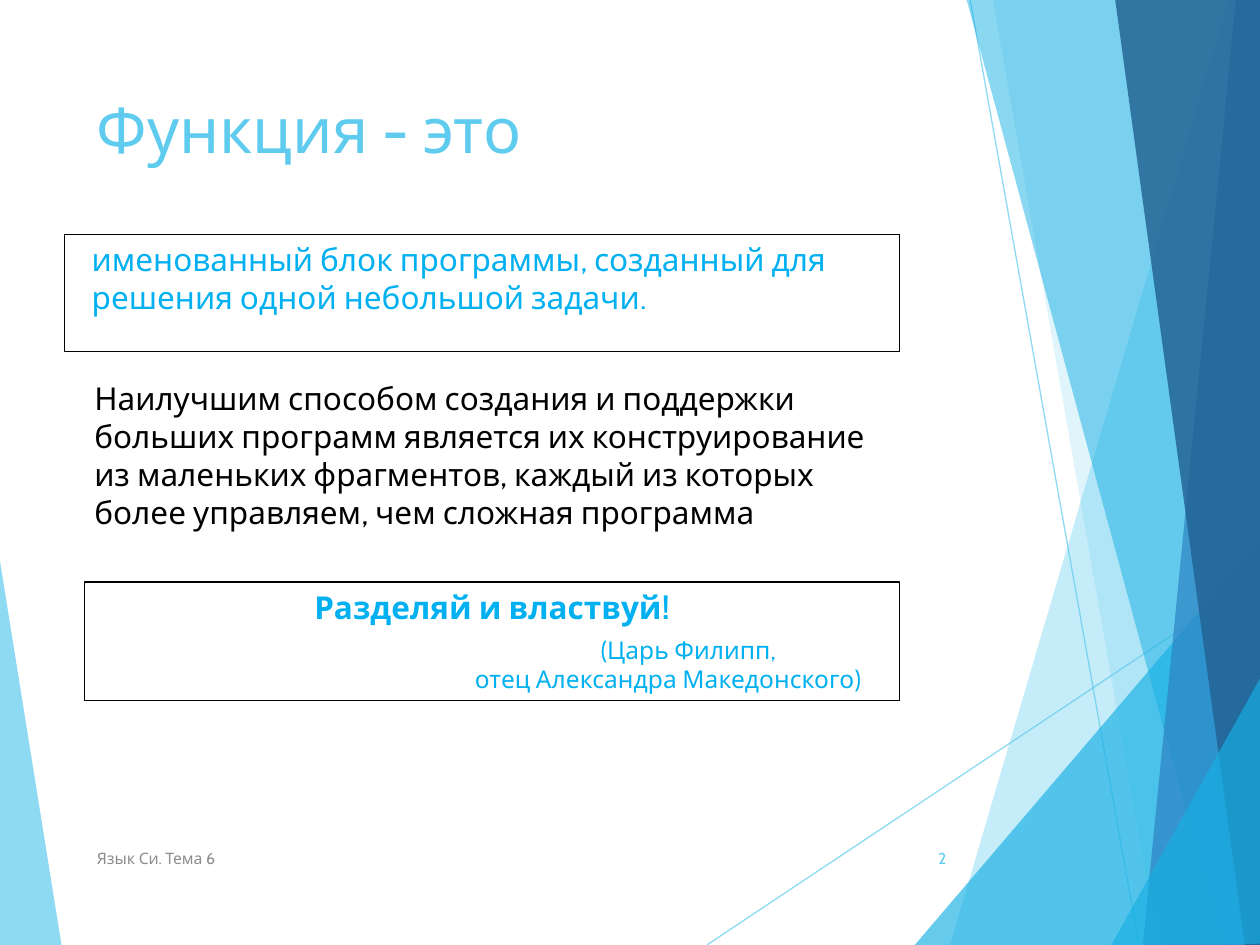
from lxml import etree
from pptx import Presentation
from pptx.dml.color import RGBColor
from pptx.enum.shapes import MSO_CONNECTOR, MSO_SHAPE
from pptx.enum.text import MSO_ANCHOR, PP_ALIGN
from pptx.oxml.ns import qn
from pptx.util import Inches, Pt

UNIT = Inches(0.01)
WIDTH, HEIGHT = 1000, 750
FONT = "Cabin"
LEFT, CENTER, RIGHT = PP_ALIGN.LEFT, PP_ALIGN.CENTER, PP_ALIGN.RIGHT
TOP, MIDDLE = MSO_ANCHOR.TOP, MSO_ANCHOR.MIDDLE

SKY = RGBColor(0x5F, 0xCB, 0xEF)
CYAN = RGBColor(0x17, 0xB0, 0xE4)
BLUE = RGBColor(0x2E, 0x83, 0xC3)
NAVY = RGBColor(0x22, 0x62, 0x92)
ACCENT = RGBColor(0x00, 0xB0, 0xF0)
BLACK = RGBColor(0, 0, 0)
GRAY = RGBColor(0x8C, 0x8C, 0x8C)

LEFT_FACET = ([(-1, 439), (49, 751), (-1, 750)], SKY, 70)
RAYS = [((561, 750), (1001, 457)), ((770, 0), (904, 750))]
RIGHT_FACETS = [
    ([(975, 0), (754, 750), (1002, 751), (1001, 1)], SKY, 36),
    ([(788, -1), (919, 750), (1001, 750), (1001, -1)], SKY, 20),
    ([(726, 750), (1000, 429), (1001, 750)], CYAN, 66),
    ([(767, -1), (970, 750), (1001, 749), (1001, -1)], CYAN, 50),
    ([(981, -1), (907, 750), (1001, 750), (1000, -1)], BLUE, 70),
    ([(885, -1), (988, 750), (1002, 750), (1000, -1)], NAVY, 82),
    ([(882, 750), (1002, 535), (1002, 749)], CYAN, 66),
]


def set_opacity(color_parent, percent):
    color = color_parent.find(".//" + qn("a:srgbClr"))
    etree.SubElement(color, qn("a:alpha")).set("val", str(percent * 1000))


def add_facet(slide, origin, points, color, opacity):
    left, top = origin
    corners = [(left + x, top + y) for x, y in points]
    builder = slide.shapes.build_freeform(*corners[0], scale=UNIT)
    builder.add_line_segments(corners[1:], close=True)
    facet = builder.convert_to_shape()
    facet.shadow.inherit = False
    facet.line.fill.background()
    facet.fill.solid()
    facet.fill.fore_color.rgb = color
    set_opacity(facet.fill._xPr, opacity)


def add_ray(slide, origin, start, end):
    left, top = origin
    ends = [(left + x) * UNIT if axis == 0 else (top + x) * UNIT
            for point in (start, end) for axis, x in enumerate(point)]
    ray = slide.shapes.add_connector(MSO_CONNECTOR.STRAIGHT, *ends)
    ray.line.color.rgb = SKY
    ray.line.width = Pt(0.75)
    properties = ray._element.spPr
    set_opacity(properties, 70)
    etree.SubElement(properties, qn("a:effectLst"))


def add_decoration(slide, origin):
    add_facet(slide, origin, *LEFT_FACET)
    for start, end in RAYS:
        add_ray(slide, origin, start, end)
    for facet in RIGHT_FACETS:
        add_facet(slide, origin, *facet)


def write(frame, text, size=18, color=ACCENT, bold=False, align=LEFT,
          indent=0, before=0, first=True):
    paragraph = frame.paragraphs[0] if first else frame.add_paragraph()
    paragraph.alignment = align
    paragraph.space_before = Pt(before)
    paragraph._p.get_or_add_pPr().set("marL", str(indent * UNIT))
    run = paragraph.add_run()
    run.text = text
    run.font.name = FONT
    run.font.size = Pt(size)
    run.font.bold = bold
    run.font.color.rgb = color


def add_frame(slide, box, anchor=TOP, outlined=False):
    bounds = [length * UNIT for length in box]
    if outlined:
        holder = slide.shapes.add_shape(MSO_SHAPE.RECTANGLE, *bounds)
        holder.shadow.inherit = False
        holder.fill.background()
        holder.line.color.rgb = BLACK
        holder.line.width = Pt(0.75)
    else:
        holder = slide.shapes.add_textbox(*bounds)
    frame = holder.text_frame
    frame.word_wrap = True
    frame.vertical_anchor = anchor
    return frame


def add_title(slide, box):
    write(add_frame(slide, box), "Функция - это", size=36, color=SKY)


def add_definition(slide, box):
    write(add_frame(slide, box, outlined=True),
          "именованный блок программы, созданный для решения одной "
          "небольшой задачи.", indent=12)


def add_explanation(slide, box):
    write(add_frame(slide, box),
          "Наилучшим способом создания и поддержки больших программ является "
          "их конструирование из маленьких фрагментов, каждый из которых более "
          "управляем, чем сложная программа", color=BLACK, indent=12)


def add_motto(slide, box):
    motto = add_frame(slide, box, outlined=True)
    write(motto, "Разделяй и властвуй!", bold=True, align=CENTER)
    write(motto, "(Царь Филипп,", size=14, indent=400, before=5, first=False)
    write(motto, "отец Александра Македонского)", size=14, indent=300,
          first=False)


def add_footer(slide, box):
    left, top, width, height = box
    number_width = 56
    write(add_frame(slide, (left, top, 506, height), MIDDLE),
          "Язык Си. Тема 6", size=9, color=GRAY)
    write(add_frame(slide, (left + width - number_width, top, number_width,
                            height), MIDDLE),
          "2", size=9, color=SKY, align=RIGHT)


def main():
    deck = Presentation()
    deck.slide_width, deck.slide_height = WIDTH * UNIT, HEIGHT * UNIT
    slide = deck.slides.add_slide(deck.slide_layouts[6])
    add_decoration(slide, (0, 0))
    add_title(slide, (67, 67, 694, 144))
    add_definition(slide, (51, 186, 663, 93))
    add_footer(slide, (67, 661, 694, 40))
    add_explanation(slide, (53, 296, 661, 131))
    add_motto(slide, (67, 462, 647, 94))
    deck.save("out.pptx")


main()
